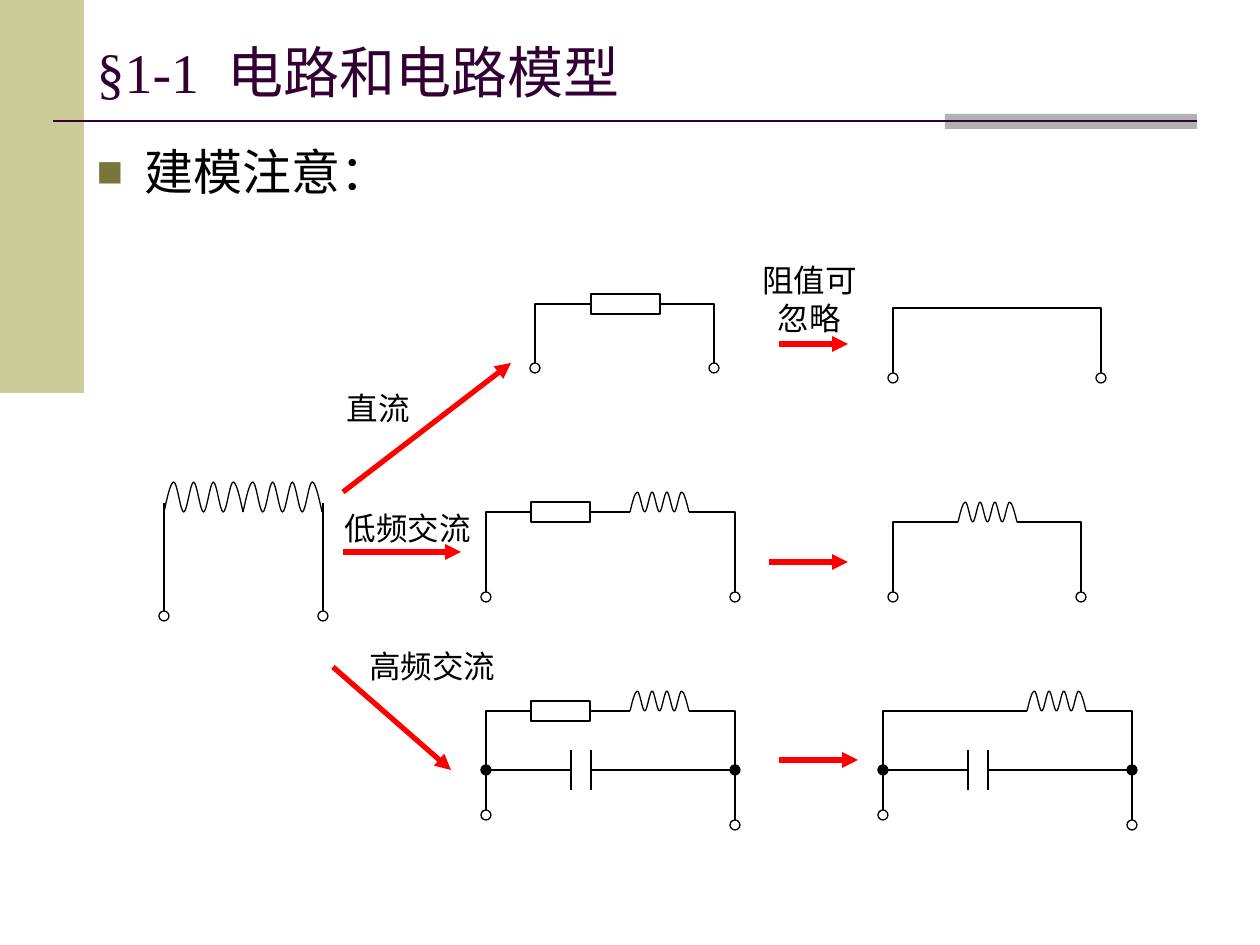
import pptx
import pptx.util
import pptx.dml.color
import pptx.enum.shapes
import pptx.enum.text
import pptx.oxml
import pptx.oxml.ns

SHAPE = pptx.enum.shapes.MSO_SHAPE
LINK = pptx.enum.shapes.MSO_CONNECTOR
ALIGN = pptx.enum.text.PP_ALIGN
ANCHOR = pptx.enum.text.MSO_ANCHOR
FIT = pptx.enum.text.MSO_AUTO_SIZE
Pt = pptx.util.Pt
qn = pptx.oxml.ns.qn

SCALE = 914400 / 126
HUE = {
    "ink": "000000", "head": "330033", "sand": "CCCC99",
    "grey": "B2B2B2", "mark": "77773B", "red": "FF0000",
}


def emu(*sizes):
    return [round(size * SCALE) for size in sizes]


def color(name):
    return pptx.dml.color.RGBColor.from_string(HUE[name])


def node(tag, **attrs):
    item = pptx.oxml.parse_xml(f"<{tag} {pptx.oxml.ns.nsdecls('a')}/>")
    for key, value in attrs.items():
        item.set(key, value)
    return item


def assign(target, values):
    for key, value in values.items():
        setattr(target, key, value)


class Sketch:
    thin = Pt(0.75)
    thick = Pt(3)
    dot = 10

    def __init__(self, slide):
        self.slide = slide
        self.shapes = slide.shapes

    def stroke(self, item, hue="ink", width=None):
        item.line.color.rgb = color(hue)
        item.line.width = width or self.thin

    def block(self, x, y, w, h, fill=None, line="ink", kind=SHAPE.RECTANGLE):
        item = self.shapes.add_shape(kind, *emu(x, y, w, h))
        item.shadow.inherit = False
        if fill:
            item.fill.solid()
            item.fill.fore_color.rgb = color(fill)
        else:
            item.fill.background()
        if line:
            self.stroke(item, line)
        else:
            item.line.fill.background()

    def ring(self, x, y, fill=None):
        half = self.dot / 2
        self.block(x - half, y - half, self.dot, self.dot, fill, kind=SHAPE.OVAL)

    def wire(self, x1, y1, x2, y2, hue="ink", width=None, kind=LINK.STRAIGHT):
        item = self.shapes.add_connector(kind, *emu(x1, y1, x2, y2))
        self.stroke(item, hue, width)
        item._element.spPr.append(node("a:effectLst"))
        return item

    def bend(self, x1, y1, x2, y2):
        item = self.wire(x1, y1, x2, y2, kind=LINK.ELBOW)
        item._element.spPr.find(qn("a:prstGeom")).set("prst", "bentConnector2")

    def arrow(self, *ends):
        item = self.wire(*ends, hue="red", width=self.thick)
        item.line._get_or_add_ln().append(node("a:tailEnd", type="triangle"))

    def coil(self, x, y, w, h):
        step = w / 8
        spots = []
        for i in range(8):
            near = 0.5 if i == 0 else i % 2
            far = 0.5 if i == 7 else (i + 1) % 2
            for part, rise in ((1 / 3, near), (2 / 3, far), (1, (i + 1) % 2)):
                spots.append(emu(x + (i + part) * step, y + h * (1 - rise)))
        form = self.shapes.build_freeform(*emu(x, y + h))
        form.add_line_segments(spots, close=False)
        item = form.convert_to_shape()
        trace = item._element.spPr.find(".//" + qn("a:path"))
        lines = trace.findall(qn("a:lnTo"))
        for i in range(0, len(lines), 3):
            curve = node("a:cubicBezTo")
            for line in lines[i:i + 3]:
                curve.append(line[0])
                trace.remove(line)
            trace.append(curve)
        item.shadow.inherit = False
        item.fill.background()
        self.stroke(item)

    def loop(self, top, left, right, low_left, low_right, start, end):
        for x, y, edge in ((left, low_left, start), (right, low_right, end)):
            self.bend(edge, top, x, y - self.dot / 2)
            self.ring(x, y)

    def words(self, frame, text, font, size, hue, form):
        frame.word_wrap = True
        para = frame.paragraphs[0]
        run = para.add_run()
        run.text = text
        assign(para, form)
        assign(run.font, {"name": font, "size": Pt(size), "bold": False})
        run.font.color.rgb = color(hue)
        return para

    def label(self, text, *box):
        frame = self.shapes.add_textbox(*emu(*box)).text_frame
        self.words(frame, text, "Arial", 18, "ink", {"alignment": ALIGN.CENTER})

    def holder(self, item, box, anchor):
        assign(item, dict(zip(("left", "top", "width", "height"), emu(*box))))
        assign(item.text_frame, {"auto_size": FIT.NONE, "vertical_anchor": anchor})
        return item.text_frame

    def title(self, text, *box):
        frame = self.holder(self.shapes.title, box, ANCHOR.MIDDLE)
        self.words(frame, text, "Times New Roman", 32, "head",
                   {"alignment": ALIGN.LEFT})

    def body(self, text, *box):
        frame = self.holder(self.slide.placeholders[1], box, ANCHOR.TOP)
        para = self.words(frame, text, "Arial", 28, "ink",
                          {"alignment": ALIGN.LEFT, "space_before": Pt(0)})
        props = para._p.get_or_add_pPr()
        inset = emu(48)[0]
        props.set("marL", str(inset))
        props.set("indent", str(-inset))
        tint = node("a:buClr")
        tint.append(node("a:srgbClr", val=HUE["mark"]))
        for item in (tint, node("a:buSzPct", val="90000"),
                     node("a:buFont", typeface="Arial"),
                     node("a:buChar", char="■")):
            props.append(item)

    def tank(self, x, start):
        top, mid = 711, 770
        left, right, plate = x, x + 249, x + 85
        self.loop(top, left, right, 815, 825, x + 45, x + 203)
        self.wire(x + start, top, x + 144, top)
        self.coil(x + 144, top - 20, 59, 20)
        self.wire(left, mid, plate, mid)
        self.wire(plate + 20, mid, right, mid)
        for side in (plate, plate + 20):
            self.wire(side, mid - 20, side, mid + 20)
        for side in (left, right):
            self.ring(side, mid, "ink")


def main():
    deck = pptx.Presentation()
    deck.slide_width, deck.slide_height = emu(1260, 945)
    pen = Sketch(deck.slides.add_slide(deck.slide_layouts[1]))

    pen.block(0, 0, 84, 393, "sand", None)
    pen.block(945, 114, 252, 15, "grey", None)
    pen.wire(53, 121, 1197, 121, "head", Pt(1.5))
    pen.title("§1-1  电路和电路模型", 84, 38, 1113, 67)
    pen.body("建模注意：", 84, 135, 1113, 745)

    for x in (164, 323):
        pen.wire(x, 503, x, 611)
        pen.ring(x, 616)
    for x in (164, 243):
        pen.coil(x, 482, 79, 30)

    pen.block(591, 294, 69, 20)
    pen.loop(304, 535, 714, 368, 368, 591, 660)
    pen.loop(308, 893, 1101, 378, 378, 997, 997)

    pen.block(531, 502, 59, 20)
    pen.wire(590, 512, 630, 512)
    pen.coil(630, 492, 59, 20)
    pen.loop(512, 486, 735, 597, 597, 531, 689)
    pen.coil(958, 502, 59, 20)
    pen.loop(522, 893, 1081, 597, 597, 958, 1017)

    pen.block(531, 701, 59, 20)
    for x, start in ((486, 104), (883, 45)):
        pen.tank(x, start)

    for ends in ((343, 492, 511, 363), (343, 552, 461, 552),
                 (333, 667, 451, 770), (779, 344, 848, 344),
                 (769, 562, 848, 562), (779, 760, 858, 760)):
        pen.arrow(*ends)

    for text, *box in (("直流", 323, 383, 110, 50),
                       ("低频交流", 323, 503, 169, 50),
                       ("高频交流", 333, 641, 198, 50),
                       ("阻值可忽略", 740, 255, 139, 88)):
        pen.label(text, *box)

    deck.save("out.pptx")


if __name__ == "__main__":
    main()
